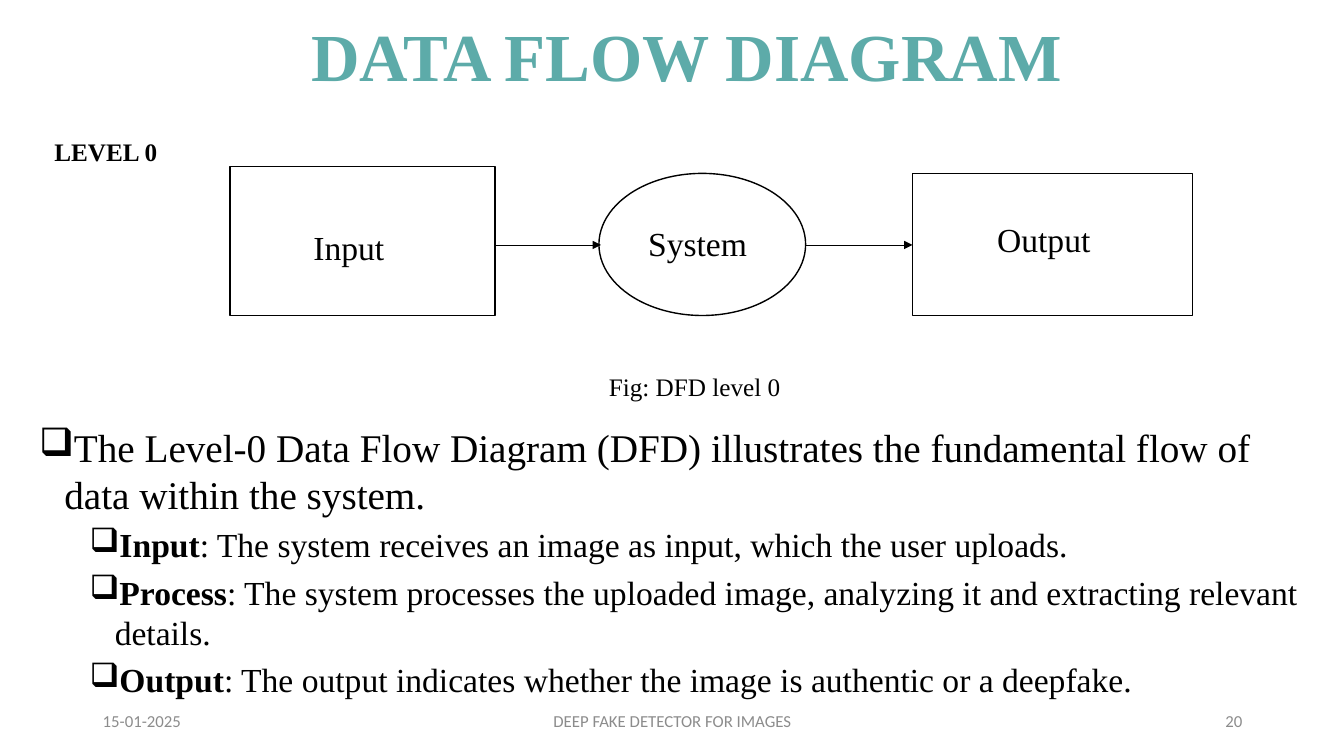
from lxml import etree
from pptx import Presentation
from pptx.dml.color import RGBColor
from pptx.enum.shapes import MSO_CONNECTOR, MSO_SHAPE
from pptx.enum.text import MSO_ANCHOR, PP_ALIGN
from pptx.oxml.ns import qn
from pptx.util import Inches, Pt

TEAL = RGBColor(0x5D, 0xAB, 0xA9)
BLACK = RGBColor(0, 0, 0)
WHITE = RGBColor(0xFF, 0xFF, 0xFF)
GRAY = RGBColor(0x8C, 0x8C, 0x8C)
SERIF = "Times New Roman"

presentation = Presentation()
presentation.slide_width = Inches(13.33)
presentation.slide_height = Inches(7.5)
slide = presentation.slides.add_slide(presentation.slide_layouts[6])


def add_run(paragraph, text, **font_format):
    run = paragraph.add_run()
    run.text = text
    values = {"name": SERIF, "size": Pt(24), "bold": False, **font_format}
    color = values.pop("color", BLACK)
    for attribute, value in values.items():
        setattr(run.font, attribute, value)
    run.font.color.rgb = color


def add_text(box, text="", anchor=MSO_ANCHOR.TOP, align=PP_ALIGN.LEFT, **font_format):
    """Place a wrapping text box and return its text frame."""
    frame = slide.shapes.add_textbox(*map(Inches, box)).text_frame
    frame.word_wrap = True
    frame.vertical_anchor = anchor
    frame.paragraphs[0].alignment = align
    if text:
        add_run(frame.paragraphs[0], text, **font_format)
    return frame


# Title and captions
title = add_text((2.99, 0, 7.84, 1.18), "DATA FLOW DIAGRAM", MSO_ANCHOR.MIDDLE,
                 size=Pt(48), bold=True, color=TEAL)
title.paragraphs[0].line_spacing = 0.9
add_text((5.94, 3.63, 3.68, 0.4), "Fig: DFD level 0", size=Pt(18))
add_text((0.44, 1.3, 1.82, 0.4), "LEVEL 0", size=Pt(18), bold=True)

# Explanation
explanation = [
    (0, "", "The Level-0 Data Flow Diagram (DFD) illustrates the fundamental "
            "flow of data within the system."),
    (1, "Input", ": The system receives an image as input, which the user uploads."),
    (1, "Process", ": The system processes the uploaded image, analyzing it and "
                   "extracting relevant details."),
    (1, "Output", ": The output indicates whether the image is authentic or a deepfake."),
]
body = add_text((0.29, 4.15, 12.8, 2.87))
for index, (level, term, text) in enumerate(explanation):
    paragraph = body.add_paragraph() if index else body.paragraphs[0]
    paragraph.level = level
    paragraph.space_before = Pt(5 if index else 0)
    properties = paragraph._p.get_or_add_pPr()
    properties.set("marL", str(Inches(0.25 + 0.5 * level)))
    properties.set("indent", str(Inches(-0.25)))
    etree.SubElement(properties, qn("a:buChar")).set("char", "❑")
    size = Pt(24 if level else 28)
    if term:
        add_run(paragraph, term, size=size, bold=True)
    add_run(paragraph, text, size=size)

# Diagram nodes: shape kind, shape box, label, label box
nodes = [
    (MSO_SHAPE.RECTANGLE, (2.28, 1.65, 2.63, 1.48), "Input", (3.01, 2.2, 1.5, 0.5)),
    (MSO_SHAPE.OVAL, (5.94, 1.72, 2.05, 1.41), "System", (6.33, 2.16, 1.33, 0.5)),
    (MSO_SHAPE.RECTANGLE, (9.05, 1.72, 2.78, 1.41), "Output", (9.79, 2.12, 1.62, 0.5)),
]
for kind, box, label, label_box in nodes:
    shape = slide.shapes.add_shape(kind, *map(Inches, box))
    shape.shadow.inherit = False
    shape.fill.solid()
    shape.fill.fore_color.rgb = WHITE
    shape.line.color.rgb = BLACK
    shape.line.width = Pt(1)
    add_text(label_box, label)

for start, end in [(4.92, 5.96), (7.99, 9.05)]:
    arrow = slide.shapes.add_connector(
        MSO_CONNECTOR.STRAIGHT, Inches(start), Inches(2.43), Inches(end), Inches(2.43))
    arrow.line.color.rgb = BLACK
    arrow.line.width = Pt(0.5)
    etree.SubElement(arrow.line._get_or_add_ln(), qn("a:tailEnd")).set("type", "triangle")
    etree.SubElement(arrow._element.spPr, qn("a:effectLst"))

# Footer
footers = [
    (0.92, 3, "15-01-2025", PP_ALIGN.LEFT),
    (4.42, 4.5, "DEEP FAKE DETECTOR FOR IMAGES", PP_ALIGN.CENTER),
    (9.42, 3, "20", PP_ALIGN.RIGHT),
]
for left, width, text, align in footers:
    add_text((left, 6.95, width, 0.4), text, MSO_ANCHOR.MIDDLE, align,
             name="Calibri", size=Pt(12), color=GRAY)

presentation.save("out.pptx")
